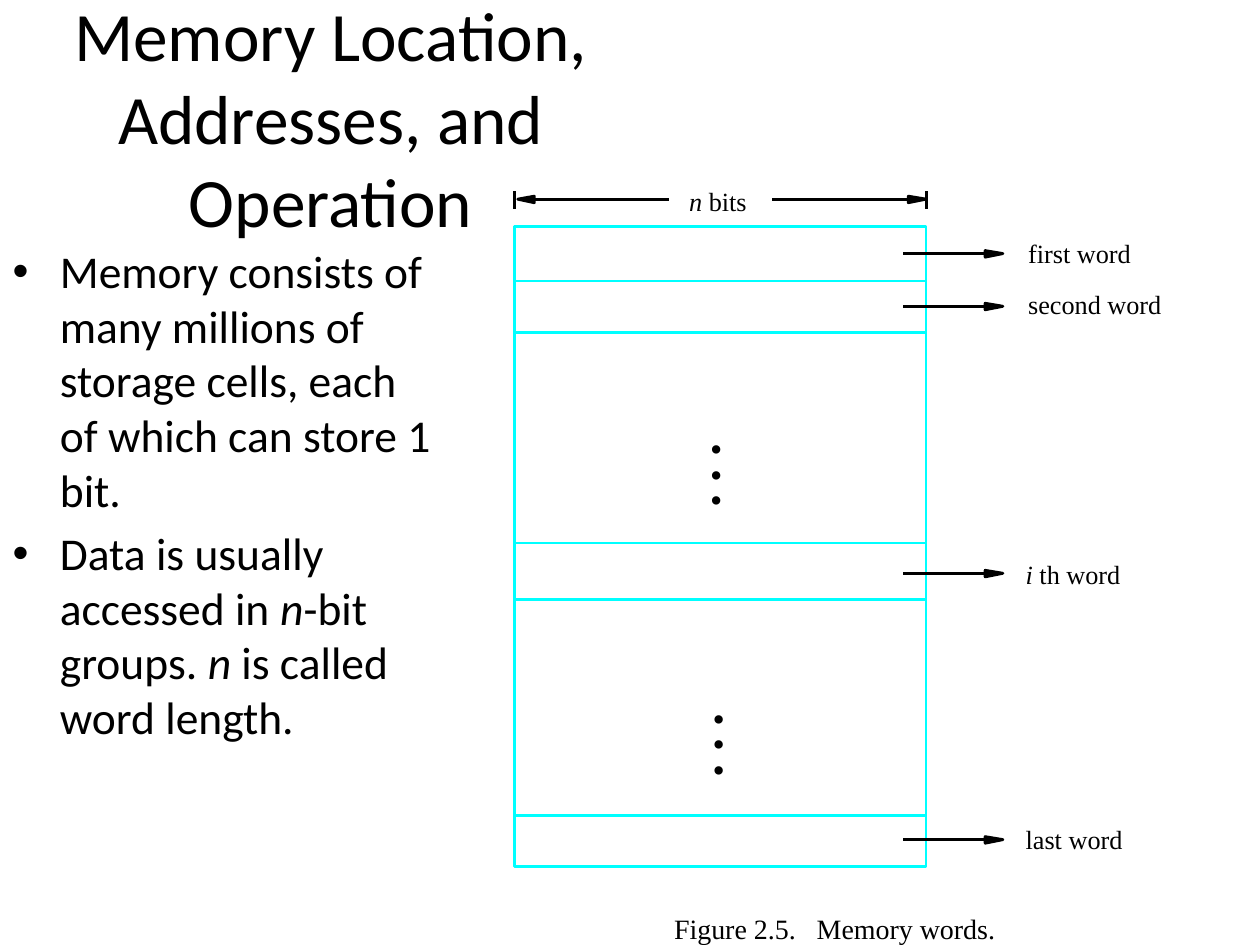
from pptx import Presentation
from pptx.dml.color import RGBColor
from pptx.enum import shapes, text
from pptx.oxml import ns
from pptx.util import Pt

COLORS = {"ink": "000000", "grid": "00FFFF"}
INK, GRID = (RGBColor.from_string(COLORS[k]) for k in ("ink", "grid"))
SERIF, STROKE = "Times New Roman", Pt(1.63)
LEFT, RIGHT, TOP, BASE = 293.8, 529.2, 129.6, 495.4

deck = Presentation()
deck.slide_width, deck.slide_height = Pt(720), Pt(540)
slide = deck.slides.add_slide(deck.slide_layouts[1])
parts = slide.shapes


def place(shape, x, y, w, h):
    shape.left, shape.top, shape.width, shape.height = Pt(x), Pt(y), Pt(w), Pt(h)


def fill_para(para, runs, size, face):
    """Write (words, italic) runs in one font."""
    para.font.size, para.font.name = Pt(size), face
    para.font.color.rgb = INK
    for words, slant in runs:
        run = para.add_run()
        run.text = words
        if slant:
            run.font.italic = True


# Title
title = parts.title
place(title, 0, 21.6, 378, 90)
frame = title.text_frame
frame.auto_size = text.MSO_AUTO_SIZE.NONE
frame.vertical_anchor = text.MSO_ANCHOR.MIDDLE
fill_para(frame.paragraphs[0],
          [("Memory Location, Addresses, and Operation", False)], 39.6, "Calibri")
frame.paragraphs[0].alignment = text.PP_ALIGN.CENTER

# Bullet list
body = slide.placeholders[1]
place(body, 0, 135.4, 257.8, 347)
frame = body.text_frame
frame.auto_size = text.MSO_AUTO_SIZE.NONE
points = [
    [("Memory consists of many millions of storage cells, each of which "
      "can store 1 bit.", False)],
    [("Data is usually accessed in ", False), ("n", True),
     ("-bit groups. ", False), ("n", True), (" is called word length.", False)],
]
for num, runs in enumerate(points):
    para = frame.add_paragraph() if num else frame.paragraphs[0]
    fill_para(para, runs, 26, "Calibri")

# Memory block
block = parts.add_shape(shapes.MSO_SHAPE.RECTANGLE, Pt(LEFT), Pt(TOP),
                        Pt(RIGHT - LEFT), Pt(BASE - TOP))
block.shadow.inherit = False
block.fill.background()
block.line.color.rgb, block.line.width = GRID, STROKE

# Row borders, width marks and arrow shafts
marks = [(LEFT, y, RIGHT, y, GRID) for y in (160.6, 190.1, 310.3, 342.7, 465.8)]
marks += [(x, 109.4, x, 119.5, INK) for x in (LEFT, RIGHT)]
marks += [(303, 113.8, 382.3, 113.8, INK), (441.4, 113.8, 523.4, 113.8, INK)]
words = [144.9, 175, 327.6, 479.8]
marks += [(516.2, y, 563, y, INK) for y in words]
for x1, y1, x2, y2, color in marks:
    line = parts.add_connector(shapes.MSO_CONNECTOR.STRAIGHT,
                               Pt(x1), Pt(y1), Pt(x2), Pt(y2))
    line.line.color.rgb, line.line.width = color, STROKE
    line._element.spPr.append(line._element.makeelement(ns.qn("a:effectLst"), {}))

# Arrowheads: tip, height and back edge
heads = [(295.9, 113.8, 305.3), (RIGHT, 113.8, 519.1)]
heads += [(573.1, y, 563) for y in words]
for tip, y, back in heads:
    pen = parts.build_freeform(Pt(back), Pt(y - 1.7))
    pen.add_line_segments([(Pt(tip), Pt(y)), (Pt(back), Pt(y + 2))], close=True)
    head = pen.convert_to_shape()
    head.shadow.inherit = False
    head.fill.solid()
    head.fill.fore_color.rgb = head.line.color.rgb = INK
    head.line.width = STROKE

# Labels
labels = [
    (393.8, 105.8, 34, 15, [("n", True), (" bits", False)]),
    (587.5, 135.4, 61, 15, [("first word", False)]),
    (587.5, 164.9, 85, 15, [("second word", False)]),
    (586.1, 319, 57, 15, [("i", True), (" th word", False)]),
    (586.1, 470.2, 60, 15, [("last word", False)]),
    (385.2, 520.6, 199.4, 16, [("Figure 2.5.   Memory words.", False)]),
]
for x, y, w, size, runs in labels:
    box = parts.add_textbox(Pt(x), Pt(y), Pt(w), Pt(size * 1.2))
    frame = box.text_frame
    frame.word_wrap = False
    frame.margin_left = frame.margin_right = 0
    frame.margin_top = frame.margin_bottom = 0
    fill_para(frame.paragraphs[0], runs, size, SERIF)

# Vertical dots for the words left out
for x, y in [(398.9, 221), (400.3, 375.1)]:
    box = parts.add_textbox(Pt(x), Pt(y), Pt(20.9), Pt(79.2))
    frame = box.text_frame
    frame.word_wrap = True
    frame.margin_left = frame.margin_right = 0
    frame.margin_top, frame.margin_bottom = Pt(32), 0
    for num in range(3):
        para = frame.add_paragraph() if num else frame.paragraphs[0]
        fill_para(para, [("•", False)], 20, SERIF)
        para.alignment = text.PP_ALIGN.CENTER
        para.line_spacing = Pt(14.7)

deck.save("out.pptx")
